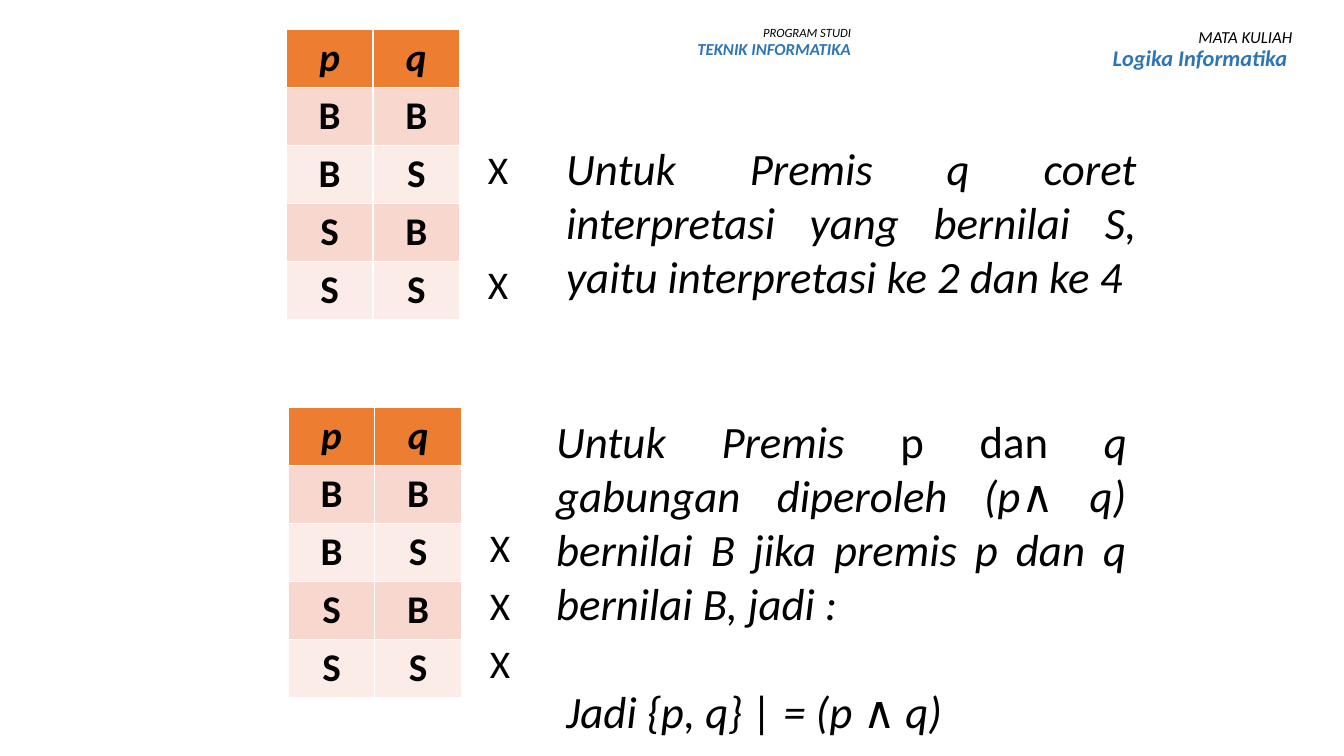
"""Build a slide that strikes out truth-table rows for premises p and q."""
from pptx import Presentation
from pptx.dml.color import RGBColor
from pptx.enum.text import PP_ALIGN
from pptx.util import Pt

LEFT, MID, RIGHT, FULL = PP_ALIGN.LEFT, PP_ALIGN.CENTER, PP_ALIGN.RIGHT, PP_ALIGN.JUSTIFY
THEME = {
    "font": "Calibri",
    "ink": RGBColor.from_string("000000"),
    "blue": RGBColor.from_string("2E75B6"),
    "head": RGBColor.from_string("ED7D31"),
    "bands": [RGBColor.from_string("FCECE8"), RGBColor.from_string("F8D7CE")],
    "body": 32, "cell": 28, "large": 16, "label": 12, "small": 9,
}
ROW = 40.8

deck = Presentation()
deck.slide_width, deck.slide_height = Pt(960), Pt(540)
slide = deck.slides.add_slide(deck.slide_layouts[6])


def add_run(para, text, size, color="ink", bold=False, slant=True):
    """Append one styled run to a paragraph."""
    run = para.add_run()
    run.text = text
    font = run.font
    font.name, font.size = THEME["font"], Pt(THEME[size])
    font.color.rgb = THEME[color]
    font.bold, font.italic = bold, slant


def add_grid(left, top, width, rows):
    """Add a table with even rows and columns and no banding."""
    cols = len(rows[0])
    grid = slide.shapes.add_table(
        len(rows), cols, Pt(left), Pt(top), Pt(width * cols), Pt(ROW * len(rows))).table
    grid.horz_banding = False
    grid.first_row = cols > 1
    for r, row in enumerate(rows):
        grid.rows[r].height = Pt(ROW)
        for c, text in enumerate(row):
            cell = grid.cell(r, c)
            if cols > 1:
                cell.fill.solid()
                cell.fill.fore_color.rgb = THEME["bands"][r % 2] if r else THEME["head"]
            else:
                cell.fill.background()
            if text:
                para = cell.text_frame.paragraphs[0]
                para.alignment = MID
                add_run(para, text, "cell", bold=cols > 1, slant=cols > 1 and r == 0)


truth = ["pq", "BB", "BS", "SB", "SS"]
for left, top, shift, struck in [(204.5, 20.9, -0.7, (2, 4)), (205.9, 290.9, -0.7, (2, 3, 4))]:
    add_grid(left, top, 61.9, truth)
    add_grid(left + 129.6, top + shift, 43.2,
             [["X" if r in struck else ""] for r in range(len(truth))])

notes = [
    (397.4, 97.2, 123.8, [
        (FULL, 0, 0, [("Untuk Premis q coret interpretasi yang bernilai S, "
                       "yaitu interpretasi ke 2 dan ke 4", True)])]),
    (390.2, 292.3, 239.8, [
        (FULL, 0, 0, [("Untuk Premis", True), (" p dan ", False),
                      ("q gabungan diperoleh (p∧ q) bernilai B jika premis "
                       "p dan q bernilai B, jadi :", True)]),
        (LEFT, 39, 7.2, [("Jadi {p, q} | = (p ∧ q)", True)])]),
]
for left, top, height, paras in notes:
    frame = slide.shapes.add_textbox(Pt(left), Pt(top), Pt(421.9), Pt(height)).text_frame
    frame.word_wrap = True
    for n, (align, gap, indent, runs) in enumerate(paras):
        para = frame.add_paragraph() if n else frame.paragraphs[0]
        para.alignment = align
        if gap:
            para.space_before = Pt(gap)
            para._p.get_or_add_pPr().set("marL", str(Pt(indent)))
        for text, slant in runs:
            add_run(para, text, "body", slant=slant)

heads = [
    (434.2, 15.8, 180.7, 40.3, "PROGRAM STUDI", "small", "TEKNIK INFORMATIKA", "label"),
    (659.5, 17.3, 270.7, 53.3, "MATA KULIAH", "label", "Logika Informatika ", "large"),
]
for left, top, width, height, upper, minor, lower, major in heads:
    frame = slide.shapes.add_textbox(Pt(left), Pt(top), Pt(width), Pt(height)).text_frame
    frame.word_wrap = True
    first, second = frame.paragraphs[0], frame.add_paragraph()
    for para in (first, second):
        para.alignment, para.line_spacing = RIGHT, 0.9
    add_run(first, upper, minor)
    add_run(second, lower, major, "blue", bold=True)

deck.save("out.pptx")
